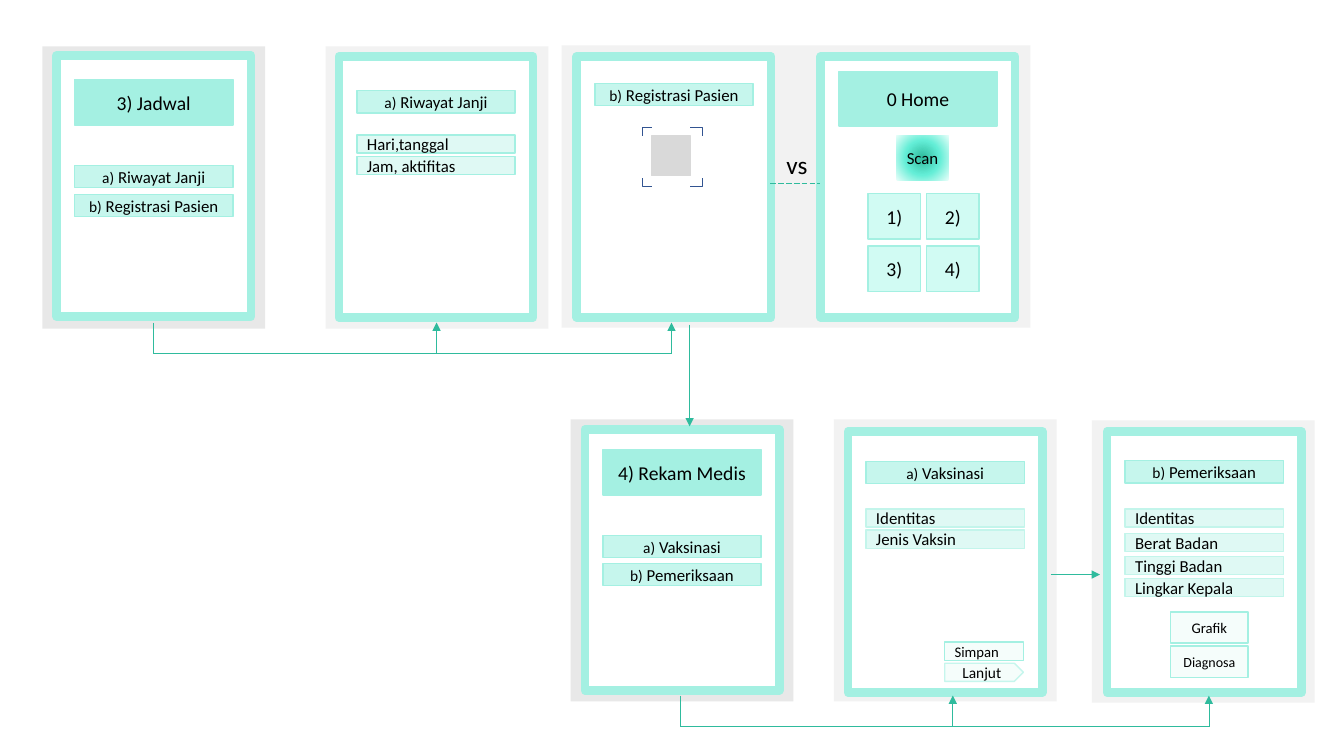
from pptx import Presentation
from pptx.dml.color import RGBColor
from pptx.enum.dml import MSO_LINE
from pptx.enum.shapes import MSO_CONNECTOR, MSO_SHAPE as SHAPE
from pptx.enum.text import MSO_ANCHOR, MSO_AUTO_SIZE, PP_ALIGN
from pptx.oxml import parse_xml
from pptx.oxml.ns import nsdecls, qn
from pptx.util import Inches, Pt
from lxml import etree

MINT, PILL, FIELD, TILE, BUTTON = "A4F0E2", "C6F6ED", "DFF9F4", "D1FBF3", "F5FDFB"
PALE_EDGE, ARROW, WHITE, LIGHT, GREY = "C3F5EB", "2FBB9D", "FFFFFF", "F2F2F2", "E8E8E8"
SCREEN_W, SCREEN_H, ITEM_W, INDENT = 1.93, 2.59, 1.57, 0.18


def rgb(value):
    return RGBColor.from_string(value)


class Board:
    """Style and current slide of the screen flow."""
    font, ink = "Calibri", "000000"

    def __init__(self, prs):
        self.slide = prs.slides.add_slide(prs.slide_layouts[6])

    def add_text(self, tf, runs, align):
        p = tf.paragraphs[0]
        p.alignment = align
        for text, size in runs:
            r = p.add_run()
            r.text = text
            for name, value in {"name": self.font, "size": Pt(size)}.items():
                setattr(r.font, name, value)
            r.font.color.rgb = rgb(self.ink)

    def box(self, x, y, w, h, fill=None, line=None, weight=1, runs=(),
            align=PP_ALIGN.CENTER, kind=SHAPE.RECTANGLE):
        sp = self.slide.shapes.add_shape(kind, Inches(x), Inches(y), Inches(w), Inches(h))
        sp.shadow.inherit = False
        if fill:
            sp.fill.solid()
            sp.fill.fore_color.rgb = rgb(fill)
        else:
            sp.fill.background()
        if line:
            sp.line.color.rgb = rgb(line)
            sp.line.width = Pt(weight)
        else:
            sp.line.fill.background()
        sp.text_frame.vertical_anchor = MSO_ANCHOR.MIDDLE
        if runs:
            self.add_text(sp.text_frame, runs, align)
        return sp

    def screen(self, x, y):
        self.box(x, y, SCREEN_W, SCREEN_H, WHITE, MINT, 6)

    def header(self, x, y, text, h=0.45):
        self.box(x, y, ITEM_W, h, MINT, MINT, runs=[(text, 14)])

    def pill(self, x, y, letter, text):
        self.box(x, y, ITEM_W, 0.22, PILL, MINT, runs=[(letter, 11), (" " + text, 12)])

    def field(self, x, y, text, line=PALE_EDGE):
        self.box(x, y, ITEM_W, 0.18, FIELD, line, runs=[(text, 12)], align=PP_ALIGN.LEFT)

    def glow(self, x, y, w, h, text, stops):
        sp = self.box(x, y, w, h, runs=[(text, 12)])
        gs = "".join(f'<a:gs pos="{pos * 1000}"><a:srgbClr val="{color}"/></a:gs>'
                     for pos, color in stops)
        grad = parse_xml(
            f'<a:gradFill {nsdecls("a")} rotWithShape="1"><a:gsLst>{gs}</a:gsLst>'
            '<a:path path="circle"><a:fillToRect l="50000" t="50000" r="50000" b="50000"/>'
            '</a:path></a:gradFill>')
        sp_pr = sp._element.spPr
        sp_pr.replace(sp_pr.find(qn("a:noFill")), grad)

    def label(self, x, y, w, h, text, size):
        tf = self.slide.shapes.add_textbox(
            Inches(x), Inches(y), Inches(w), Inches(h)).text_frame
        tf.word_wrap = False
        tf.auto_size = MSO_AUTO_SIZE.SHAPE_TO_FIT_TEXT
        self.add_text(tf, [(text, size)], PP_ALIGN.LEFT)

    def line(self, x1, y1, x2, y2, arrow=False, dash=None):
        cn = self.slide.shapes.add_connector(
            MSO_CONNECTOR.STRAIGHT, Inches(x1), Inches(y1), Inches(x2), Inches(y2))
        cn.line.color.rgb = rgb(ARROW)
        cn.line.width = Pt(0.5)
        if dash:
            cn.line.dash_style = dash
        sp_pr = cn._element.spPr
        if arrow:
            etree.SubElement(sp_pr.find(qn("a:ln")), qn("a:tailEnd"), type="triangle")
        etree.SubElement(sp_pr, qn("a:effectLst"))

    def branch(self, start, targets, top, bottom):
        """Line down from start, along, and up to each target."""
        for x in targets:
            self.line(x, bottom, x, top, arrow=True)
        self.line(start, bottom, targets[-1], bottom)
        self.line(start, top, start, bottom)


prs = Presentation()
prs.slide_width, prs.slide_height = Inches(13.33), Inches(7.5)
board = Board(prs)

# Backdrops
for x, y, w, color in [(10.83, 4.17, 2.21, LIGHT), (8.27, 4.16, 2.21, LIGHT),
                       (5.66, 4.16, 2.21, GREY), (0.42, 0.46, 2.21, GREY),
                       (3.23, 0.46, 2.21, LIGHT), (5.57, 0.45, 4.65, LIGHT)]:
    board.box(x, y, w, 2.8, color)

# Menu screens: header and two choices
menus = [(0.56, 0.55, "3) Jadwal", 0.79, [(1.64, "Riwayat Janji"), (1.93, "Registrasi Pasien")]),
         (5.8, 4.26, "4) Rekam Medis", 4.46, [(5.31, "Vaksinasi"), (5.59, "Pemeriksaan")])]
for x, y, title, title_y, choices in menus:
    board.screen(x, y)
    board.header(x + INDENT, title_y, title)
    for letter, (choice_y, choice) in zip(("a)", "b)"), choices):
        board.pill(x + INDENT, choice_y, letter, choice)

# Detail screens: one choice and its fields
details = [
    (3.36, 0.56, 0.9, "a)", "Riwayat Janji", MINT,
     [(1.34, "Hari,tanggal"), (1.55, "Jam, aktifitas")]),
    (5.72, 0.56, 0.83, "b)", "Registrasi Pasien", MINT, []),
    (8.41, 4.28, 4.58, "a)", "Vaksinasi", PALE_EDGE,
     [(5.05, "Identitas"), (5.26, "Jenis Vaksin")]),
    (10.98, 4.28, 4.57, "b)", "Pemeriksaan", PALE_EDGE,
     [(5.05, "Identitas"), (5.29, "Berat Badan"), (5.52, "Tinggi Badan"),
      (5.74, "Lingkar Kepala")]),
]
for x, y, pill_y, letter, choice, edge, fields in details:
    board.screen(x, y)
    board.pill(x + INDENT, pill_y, letter, choice)
    for field_y, text in fields:
        board.field(x + INDENT, field_y, text, edge)

# Scanner: square whose sides are masked down to the corners
board.box(6.37, 1.26, 0.59, 0.59, line="325491", weight=0.25)
board.box(6.12, 1.36, 1.07, 0.4, WHITE, WHITE)
board.box(6.12, 1.46, 1.07, 0.37, WHITE, WHITE).rotation = 90
board.box(6.46, 1.35, 0.39, 0.39, "D9D9D9", "D9D9D9")

# Home screen
board.screen(8.14, 0.56)
board.label(7.7, 1.43, 0.41, 0.4, "vs", 18)
board.header(8.32, 0.71, "0 Home", h=0.54)
for i in range(4):
    row, col = divmod(i, 2)
    board.box(8.61 + 0.58 * col, 1.92 + 0.52 * row, 0.52, 0.45, TILE, MINT,
              runs=[(f"{i + 1})", 14)])
board.glow(8.89, 1.34, 0.52, 0.45, "Scan", [(0, "2FBB9D"), (50, "64EED7"), (100, "EAFFFB")])

# Buttons
board.box(9.37, 6.37, 0.78, 0.18, BUTTON, MINT, runs=[("Simpan", 10.5)], align=PP_ALIGN.LEFT)
board.box(9.37, 6.58, 0.78, 0.18, BUTTON, PILL, runs=[("Lanjut", 11)], kind=SHAPE.PENTAGON)
for y, text, size in [(6.41, "Diagnosa", 10), (6.07, "Grafik", 10.5)]:
    board.box(11.61, y, 0.77, 0.31, BUTTON, MINT, runs=[(text, size)])

# Flow
board.branch(1.52, [4.33, 6.66], 3.2, 3.51)
board.branch(6.75, [9.45, 11.99], 6.9, 7.21)
board.line(7.64, 1.82, 8.13, 1.82, dash=MSO_LINE.LONG_DASH)
board.line(6.84, 3.22, 6.84, 4.23, arrow=True)
board.line(10.42, 5.7, 10.91, 5.7, arrow=True)

prs.save("out.pptx")
